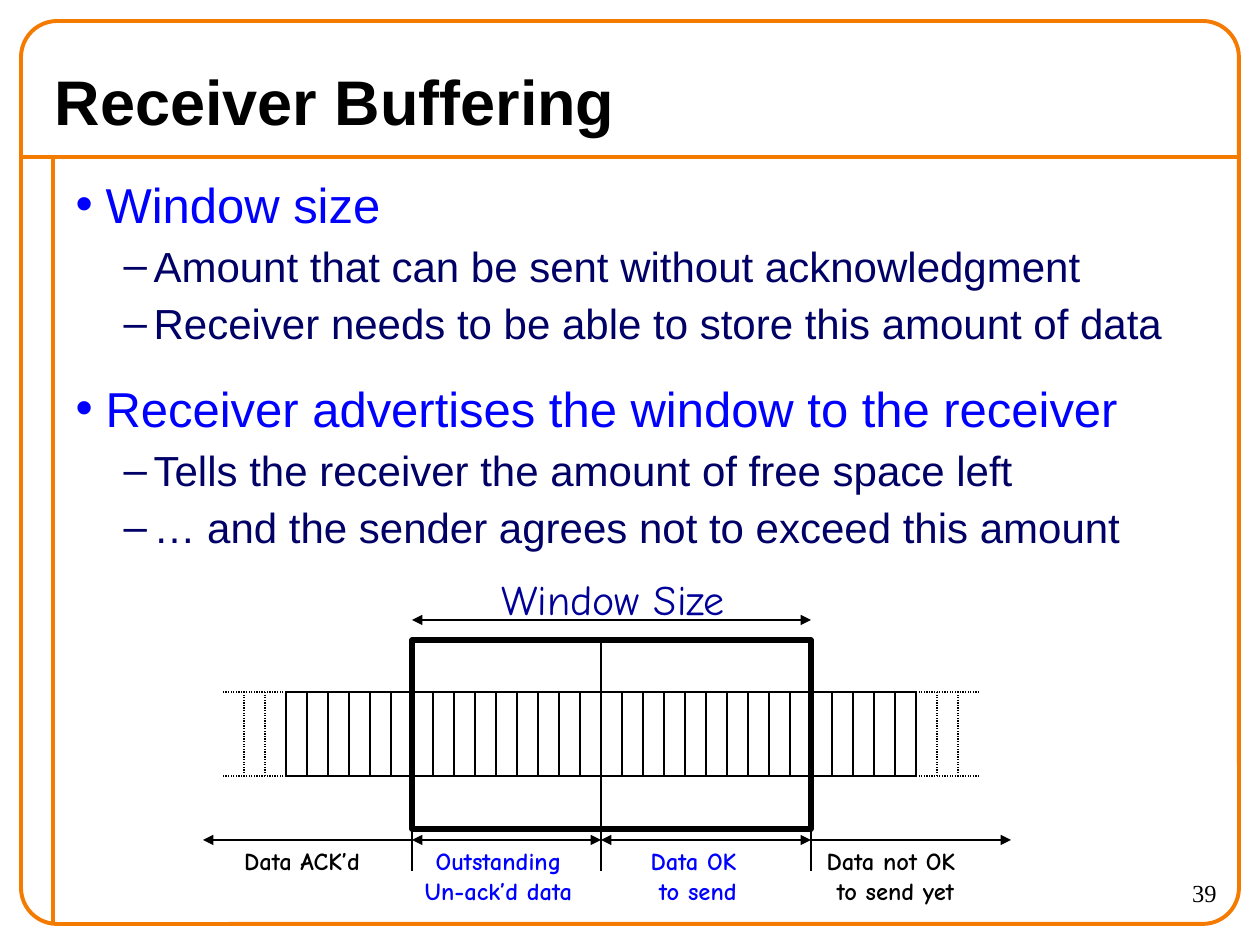
"""Build the Receiver Buffering slide with its sliding window diagram."""
from lxml.etree import SubElement
from pptx import Presentation
from pptx.dml.color import RGBColor
from pptx.enum.dml import MSO_LINE
from pptx.enum.shapes import MSO_CONNECTOR, MSO_SHAPE
from pptx.enum.text import MSO_ANCHOR, MSO_AUTO_SIZE, PP_ALIGN
from pptx.oxml.ns import qn
from pptx.util import Pt

PIXEL = 914400 / 126
ORANGE = RGBColor(0xF4, 0x7A, 0x00)
BLACK = RGBColor(0x00, 0x00, 0x00)
BLUE = RGBColor(0x00, 0x00, 0xFF)
NAVY = RGBColor(0x00, 0x00, 0x66)
CAPTION_BLUE = RGBColor(0x00, 0x00, 0x99)

presentation = Presentation()
presentation.slide_width = round(1260 * PIXEL)
presentation.slide_height = round(945 * PIXEL)
slide = presentation.slides.add_slide(presentation.slide_layouts[1])


def add_line(start_x, start_y, end_x, end_y, color=BLACK, width=0.75, dashed=False, ends=()):
    points = [round(value * PIXEL) for value in (start_x, start_y, end_x, end_y)]
    connector = slide.shapes.add_connector(MSO_CONNECTOR.STRAIGHT, *points)
    connector.line.color.rgb = color
    connector.line.width = Pt(width)
    if dashed:
        connector.line.dash_style = MSO_LINE.ROUND_DOT
    properties = connector._element.spPr
    for end in ends:
        SubElement(properties.find(qn("a:ln")), qn(f"a:{end}"), type="triangle")
    SubElement(properties, qn("a:effectLst"))


def add_label(box, text, size, font_name, color, alignment, bold=False, wrap=False):
    label = slide.shapes.add_textbox(*[round(value * PIXEL) for value in box])
    label.text_frame.word_wrap = wrap
    label.text_frame.text = text
    for paragraph in label.text_frame.paragraphs:
        paragraph.alignment = alignment
        for run in paragraph.runs:
            run.font.size = Pt(size)
            run.font.name = font_name
            run.font.bold = bold
            run.font.color.rgb = color


add_line(21, 157, 1239, 157, ORANGE, 2.25)
add_line(53, 157, 53, 924, ORANGE, 2.25)

WINDOW_LEFT, WINDOW_RIGHT, DIVIDER = 412, 811, 601
WINDOW_TOP, WINDOW_BOTTOM = 640, 829
outlines = [
    (MSO_SHAPE.ROUNDED_RECTANGLE, (21, 21, 1218, 903), ORANGE, 2.25),
    (MSO_SHAPE.RECTANGLE,
     (WINDOW_LEFT, WINDOW_TOP, WINDOW_RIGHT - WINDOW_LEFT, WINDOW_BOTTOM - WINDOW_TOP), BLACK, 3),
]
for kind, box, color, width in outlines:
    shape = slide.shapes.add_shape(kind, *[round(value * PIXEL) for value in box])
    shape.shadow.inherit = False
    shape.fill.background()
    shape.line.color.rgb = color
    shape.line.width = Pt(width)
    if kind == MSO_SHAPE.ROUNDED_RECTANGLE:
        shape.adjustments[0] = 0.04

title = slide.shapes.title
title.left, title.top, title.width, title.height = [
    round(value * PIXEL) for value in (42, 53, 1111, 95)]
title.text_frame.text = "Receiver Buffering"
title.text_frame.auto_size = MSO_AUTO_SIZE.NONE
title.text_frame.vertical_anchor = MSO_ANCHOR.MIDDLE
title_paragraph = title.text_frame.paragraphs[0]
title_paragraph.alignment = PP_ALIGN.LEFT
title_font = title_paragraph.runs[0].font
title_font.name = "Arial"
title_font.size = Pt(36)
title_font.bold = True
title_font.color.rgb = BLACK

bullets = [
    (0, "Window size"),
    (1, "Amount that can be sent without acknowledgment"),
    (1, "Receiver needs to be able to store this amount of data"),
    (0, "Receiver advertises the window to the receiver"),
    (1, "Tells the receiver the amount of free space left"),
    (1, "… and the sender agrees not to exceed this amount"),
]
level_styles = [(28, BLUE, 17.5, 30), (24, NAVY, 4, 78)]
body = slide.placeholders[1]
body.left, body.top, body.width, body.height = [
    round(value * PIXEL) for value in (63, 168, 1165, 394)]
body.text_frame.text = "\n".join(text for level, text in bullets)
body.text_frame.auto_size = MSO_AUTO_SIZE.NONE
for index, paragraph in enumerate(body.text_frame.paragraphs):
    level = bullets[index][0]
    size, color, space, indent = level_styles[level]
    paragraph.level = level
    paragraph.space_before = Pt(space if index else 0)
    paragraph_properties = paragraph._p.get_or_add_pPr()
    paragraph_properties.set("marL", str(round(indent * PIXEL)))
    paragraph_properties.set("indent", str(round(-30 * PIXEL)))
    font = paragraph.runs[0].font
    font.name = "Arial"
    font.size = Pt(size)
    font.color.rgb = color

BUFFER_TOP, BUFFER_BOTTOM = 692, 776
BUFFER_LEFT, BUFFER_RIGHT, CELL = 286, 916, 21
for y in (BUFFER_TOP, BUFFER_BOTTOM):
    add_line(BUFFER_LEFT, y, BUFFER_RIGHT, y)
    add_line(BUFFER_LEFT, y, 222, y, dashed=True)
    add_line(BUFFER_RIGHT, y, 980, y, dashed=True)
for x in range(BUFFER_LEFT - 2 * CELL, BUFFER_RIGHT + 2 * CELL + 1, CELL):
    add_line(x, BUFFER_TOP, x, BUFFER_BOTTOM, dashed=not BUFFER_LEFT <= x <= BUFFER_RIGHT)

add_line(DIVIDER, WINDOW_TOP, DIVIDER, WINDOW_BOTTOM)
for x in (WINDOW_LEFT, DIVIDER, WINDOW_RIGHT):
    add_line(x, WINDOW_BOTTOM, x, 871)

BOTH_ENDS = ("headEnd", "tailEnd")
spans = [
    (WINDOW_LEFT, WINDOW_RIGHT, 620, BOTH_ENDS),
    (WINDOW_LEFT, 203, 840, ("tailEnd",)),
    (WINDOW_LEFT, DIVIDER, 840, BOTH_ENDS),
    (DIVIDER, WINDOW_RIGHT, 840, BOTH_ENDS),
    (WINDOW_RIGHT, 1011, 840, ("tailEnd",)),
]
for start, finish, y, ends in spans:
    add_line(start, y, finish, y, ends=ends)

add_label((489, 567, 249, 63), "Window Size", 24, "Comic Neue", CAPTION_BLUE, PP_ALIGN.LEFT)
region_labels = [
    (231, 151, "Data ACK’d ", BLACK),
    (412, 173, "Outstanding\nUn-ack’d data", BLUE),
    (638, 120, "Data OK \nto send", BLUE),
    (814, 163, "Data not OK \nto send yet", BLACK),
]
for left, width, text, color in region_labels:
    add_label((left, 840, width, 72), text, 14, "Comic Neue", color, PP_ALIGN.CENTER, bold=True)
add_label((1103, 872, 126, 53), "39", 14, "Times New Roman", BLACK, PP_ALIGN.RIGHT, wrap=True)

presentation.save("out.pptx")
